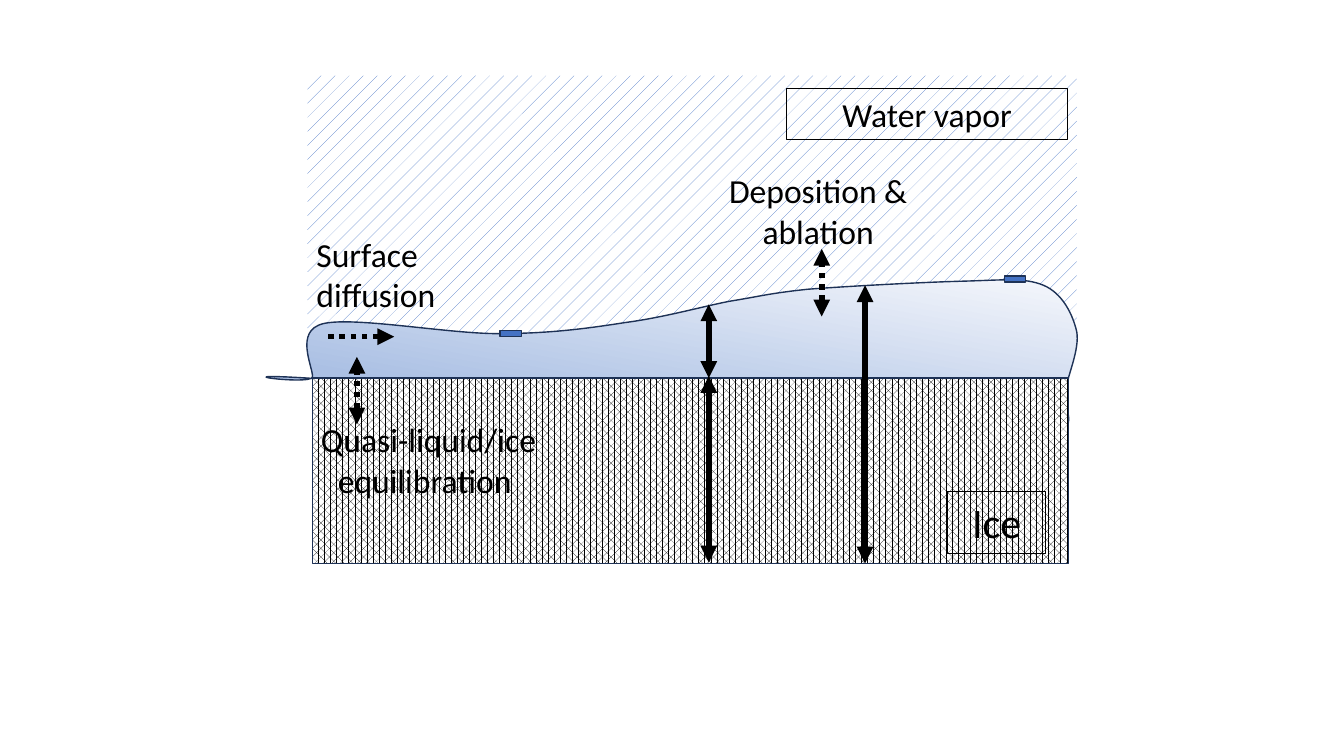
import pptx
import pptx.util
import pptx.dml.color
import pptx.enum.dml
import pptx.enum.shapes
import pptx.enum.text
import pptx.oxml
import pptx.oxml.ns

Inches = pptx.util.Inches
Pt = pptx.util.Pt
RGBColor = pptx.dml.color.RGBColor
qn = pptx.oxml.ns.qn
DASH = pptx.enum.dml.MSO_LINE
PATTERN = pptx.enum.dml.MSO_PATTERN
ALIGN = pptx.enum.text.PP_ALIGN
RECT = pptx.enum.shapes.MSO_SHAPE.RECTANGLE
STRAIGHT = pptx.enum.shapes.MSO_CONNECTOR.STRAIGHT

BLACK = RGBColor(0, 0, 0)
WHITE = RGBColor(255, 255, 255)
BLUE = RGBColor(0x44, 0x72, 0xC4)
NAVY = RGBColor(0x1E, 0x32, 0x56)
FONT = "Calibri"

STOPS = [
    (0, RGBColor(0xF6, 0xF8, 0xFC)),
    (74, RGBColor(0xAB, 0xC0, 0xE4)),
    (83, RGBColor(0xAB, 0xC0, 0xE4)),
    (100, RGBColor(0xC7, 0xD5, 0xED)),
]
UNITS = 100
START = (3.21, 3.21)
TOP = [
    (3.52, 3.14), (4.44, 3.31), (4.94, 3.31),
    (5.44, 3.31), (5.82, 3.26), (6.2, 3.2),
    (6.58, 3.15), (6.93, 3.05), (7.23, 2.99),
    (7.54, 2.94), (7.63, 2.91), (8.01, 2.87),
    (8.4, 2.84), (9.15, 2.8), (9.54, 2.79),
    (9.93, 2.78), (10.16, 2.75), (10.35, 2.83),
    (10.54, 2.91), (10.64, 3.12), (10.68, 3.29),
    (10.71, 3.47), (10.59, 3.72), (10.57, 3.87),
    (10.55, 4.03), (10.64, 4.16), (10.58, 4.22),
    (10.51, 4.27), (10.18, 4.2), (10.18, 4.2),
]
CORNER = (3.19, 3.76)
LEFT = [
    (2.01, 3.68), (3.09, 3.83), (3.1, 3.74),
    (3.11, 3.65), (2.91, 3.28), START,
]


def element(name, **values):
    node = pptx.oxml.parse_xml(f'<a:{name} {pptx.oxml.ns.nsdecls("a")}/>')
    for key, value in values.items():
        node.set(key, str(value))
    return node


def write(frame, text, size=24, align=ALIGN.CENTER, color=BLACK):
    frame.word_wrap = True
    para = frame.paragraphs[0]
    para.alignment = align
    run = para.add_run()
    run.text = text
    run.font.name = FONT
    run.font.size = Pt(size)
    run.font.color.rgb = color


def bend(lines):
    for first in range(0, len(lines), 3):
        curve = element("cubicBezTo")
        lines[first].addprevious(curve)
        for line in lines[first:first + 3]:
            curve.append(line[0])
            line.getparent().remove(line)


class Sketch:
    """Draws the parts of the ice surface diagram on one slide."""

    def __init__(self, slide):
        self.shapes = slide.shapes

    def edge(self, shape, color=NAVY, width=1):
        shape.shadow.inherit = False
        if color is None:
            shape.line.fill.background()
        else:
            shape.line.color.rgb = color
            shape.line.width = Pt(width)

    def block(self, box, color, pattern=None, line=NAVY):
        shape = self.shapes.add_shape(RECT, *map(Inches, box))
        self.edge(shape, line)
        if pattern is None:
            shape.fill.solid()
            shape.fill.fore_color.rgb = color
        else:
            shape.fill.patterned()
            shape.fill.pattern = pattern
            shape.fill.fore_color.rgb = color
            shape.fill.back_color.rgb = WHITE

    def layer(self):
        points = [(round(x * UNITS), round(y * UNITS))
                  for x, y in [START, *TOP, CORNER, *LEFT]]
        pen = self.shapes.build_freeform(*points[0], scale=Inches(1) / UNITS)
        pen.add_line_segments(points[1:])
        shape = pen.convert_to_shape()
        lines = list(shape._element.spPr.iter(qn("a:lnTo")))
        bend(lines[:len(TOP)])
        bend(lines[len(TOP) + 1:len(TOP) + 1 + len(LEFT)])
        self.edge(shape)
        shape.fill.gradient()
        shape.fill.gradient_angle = 260
        stops = shape._element.spPr.find(".//" + qn("a:gsLst"))
        for old in list(stops):
            stops.remove(old)
        for place, color in STOPS:
            stop = element("gs", pos=place * 1000)
            stop.append(element("srgbClr", val=color))
            stops.append(stop)

    def arrow(self, start, end, dotted=False, both=True):
        line = self.shapes.add_connector(STRAIGHT, *map(Inches, start + end))
        line.line.color.rgb = BLACK
        line.line.width = Pt(4)
        if dotted:
            line.line.dash_style = DASH.ROUND_DOT
        pen = line.line._get_or_add_ln()
        for name in ("headEnd", "tailEnd") if both else ("headEnd",):
            pen.append(element(name, type="triangle"))
        line._element.spPr.append(element("effectLst"))

    def label(self, box, text, framed=False, **style):
        shape = self.shapes.add_textbox(*map(Inches, box))
        if framed:
            shape.line.color.rgb = BLACK
            shape.line.width = Pt(0.75)
        write(shape.text_frame, text, **style)


def main():
    deck = pptx.Presentation()
    deck.slide_width = Inches(13.33)
    deck.slide_height = Inches(7.5)
    sketch = Sketch(deck.slides.add_slide(deck.slide_layouts[6]))

    sketch.block((3.05, 0.75, 7.63, 2.56), BLUE, PATTERN.PERCENT_5, line=None)
    sketch.layer()
    sketch.block((3.1, 3.75, 7.5, 1.84), BLACK, PATTERN.PERCENT_60)

    for x, low, high in ((8.58, 5.59, 2.83), (7.03, 3.75, 3.02), (7.03, 5.58, 3.73)):
        sketch.arrow((x, low), (x, high))

    sketch.label((7.03, 1.64, 2.17, 0.91), "Deposition & ablation")
    sketch.arrow((8.15, 3.14), (8.15, 2.47), dotted=True)
    sketch.label((3.04, 2.27, 1.92, 0.91), "Surface diffusion", align=ALIGN.LEFT)
    sketch.arrow((3.91, 3.34), (3.24, 3.34), dotted=True, both=False)
    sketch.label((2.76, 4.11, 2.98, 0.91), "Quasi-liquid/ice equilibration ")
    sketch.arrow((3.54, 4.21), (3.54, 3.54), dotted=True)

    sketch.label((7.8, 0.88, 2.79, 0.5), "Water vapor", framed=True)
    sketch.label((9.4, 4.88, 0.97, 0.61), "Ice", framed=True, size=30)
    for x, y in ((4.96, 3.28), (9.96, 2.74)):
        sketch.block((x, y, 0.21, 0.06), BLUE)

    deck.save("out.pptx")


if __name__ == "__main__":
    main()
